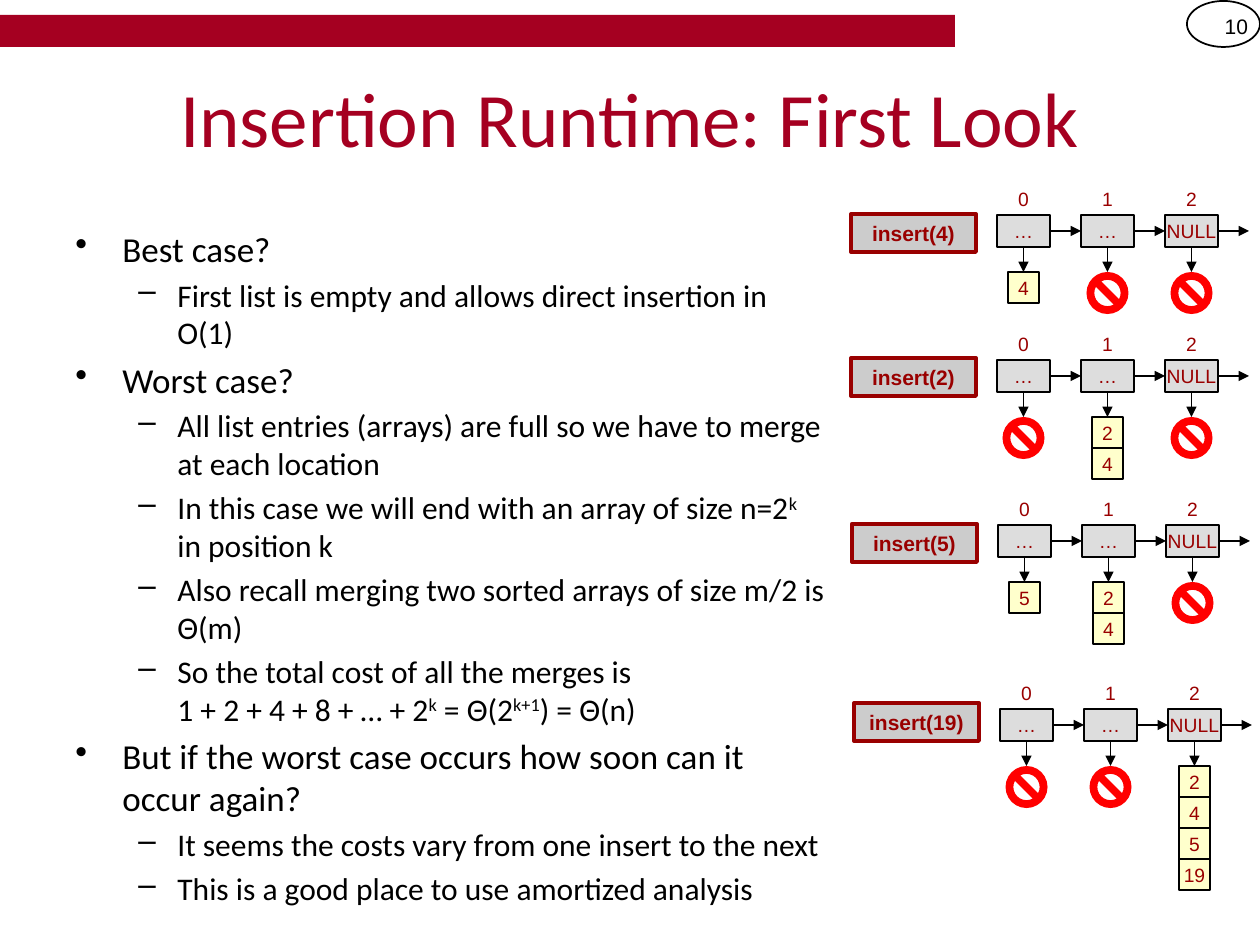
from dataclasses import dataclass

from lxml.etree import SubElement
from pptx import Presentation
from pptx.dml.color import RGBColor
from pptx.enum.shapes import MSO_CONNECTOR, MSO_SHAPE
from pptx.enum.text import MSO_ANCHOR as ANCHOR, PP_ALIGN as ALIGN
from pptx.oxml.ns import qn
from pptx.util import Pt

PX = 914400 / 126


@dataclass(frozen=True)
class Theme:
    crimson: str = "A50021"
    dark_red: str = "990000"
    black: str = "000000"
    cell: str = "DDDDDD"
    item: str = "FFFFCC"
    label: str = "CCCCCC"
    empty: str = "FF0000"
    title_size: int = 44
    body_sizes: tuple = (20, 18)
    label_size: int = 12
    cell_size: int = 11
    heading_font: str = "Calibri"
    diagram_font: str = "Arial"


theme = Theme()
presentation = Presentation()
presentation.slide_width = round(1260 * PX)
presentation.slide_height = round(945 * PX)
slide = presentation.slides.add_slide(presentation.slide_layouts[6])
shapes = slide.shapes


def draw(kind, box, fill=None, line=None, width=0.75):
    box = [round(length * PX) for length in box]
    if kind is None:
        return shapes.add_textbox(*box)
    shape = shapes.add_shape(kind, *box)
    shape.shadow.inherit = False
    if fill:
        shape.fill.solid()
        shape.fill.fore_color.rgb = RGBColor.from_string(fill)
    else:
        shape.fill.background()
    if line:
        shape.line.color.rgb = RGBColor.from_string(line)
        shape.line.width = Pt(width)
    else:
        shape.line.fill.background()
    return shape


def write(shape, text, size, color=theme.dark_red, font=theme.diagram_font,
          align=ALIGN.CENTER, anchor=ANCHOR.MIDDLE, side=0, bold=False):
    frame = shape.text_frame
    frame.word_wrap = True
    frame.vertical_anchor = anchor
    frame.margin_left = frame.margin_right = round(side * PX)
    paragraph = frame.paragraphs[0]
    paragraph.text = text
    paragraph.alignment = align
    paragraph.font.size = Pt(size)
    paragraph.font.name = font
    paragraph.font.bold = bold
    paragraph.font.color.rgb = RGBColor.from_string(color)


page_number = draw(None, (1187, 1, 73, 50))
write(page_number, "10", theme.label_size, theme.black, align=ALIGN.RIGHT, side=12)
draw(MSO_SHAPE.RECTANGLE, (0, 15, 955, 32), theme.crimson)
draw(MSO_SHAPE.OVAL, (1187, 1, 73, 46), line=theme.black, width=1)
title = draw(None, (63, 38, 1134, 157))
write(title, "Insertion Runtime: First Look", theme.title_size, theme.crimson,
      theme.heading_font, side=12)

outline = [
    (0, ["Best case?"]),
    (1, ["First list is empty and allows direct insertion in O(1)"]),
    (0, ["Worst case?"]),
    (1, ["All list entries (arrays) are full so we have to merge at each location"]),
    (1, ["In this case we will end with an array of size n=2", "^k", " in position k"]),
    (1, ["Also recall merging two sorted arrays of size m/2 is Θ(m)"]),
    (1, ["So the total cost of all the merges is", "\n", "1 + 2 + 4 + 8 + … + 2", "^k",
         " = Θ(2", "^k+1", ") = Θ(n)"]),
    (0, ["But if the worst case occurs how soon can it occur again?"]),
    (1, ["It seems the costs vary from one insert to the next"]),
    (1, ["This is a good place to use amortized analysis"]),
]
bullets = [("•", 47, 47), ("–", 102, 39)]
body = draw(None, (63, 221, 777, 624)).text_frame
body.word_wrap = True
for index, (level, pieces) in enumerate(outline):
    paragraph = body.add_paragraph() if index else body.paragraphs[0]
    bullet, margin, hanging = bullets[level]
    size = theme.body_sizes[level]
    paragraph.level = level
    paragraph.space_before = Pt(size * 0.2)
    paragraph.font.size = Pt(size)
    paragraph.font.name = theme.heading_font
    paragraph.font.color.rgb = RGBColor.from_string(theme.black)
    properties = paragraph._p.get_or_add_pPr()
    properties.set("marL", str(round(margin * PX)))
    properties.set("indent", str(round(-hanging * PX)))
    character = properties.makeelement(qn("a:buChar"), {"char": bullet})
    properties.insert_element_before(character, "a:tabLst", "a:defRPr", "a:extLst")
    for piece in pieces:
        if piece == "\n":
            paragraph.add_line_break()
            continue
        run = paragraph.add_run()
        run.text = piece.removeprefix("^")
        if piece.startswith("^"):
            run.font._element.set("baseline", "30000")

CELL_WIDTH, CELL_HEIGHT, PITCH = 53, 32, 84
ITEM, RING, DROP = 31, 42, 57
steps = [
    ("insert(4)", 997, 215, 214, [["4"], [], []]),
    ("insert(2)", 997, 360, 358, [[], ["2", "4"], []]),
    ("insert(5)", 998, 525, 524, [["5"], ["2", "4"], []]),
    ("insert(19)", 1000, 709, 703, [[], [], ["2", "4", "5", "19"]]),
]
for call, left, top, label_top, arrays in steps:
    label = draw(MSO_SHAPE.RECTANGLE, (left - 146, label_top, 125, 38),
                 theme.label, theme.dark_red, 2.25)
    write(label, call, theme.label_size, anchor=ANCHOR.TOP, side=12, bold=True)
    for column, (entry, items) in enumerate(zip(["…", "…", "NULL"], arrays)):
        x = left + column * PITCH
        center = x + CELL_WIDTH / 2
        middle = top + CELL_HEIGHT / 2
        cell = draw(MSO_SHAPE.RECTANGLE, (x, top, CELL_WIDTH, CELL_HEIGHT),
                    theme.cell, theme.black)
        write(cell, entry, theme.cell_size)
        heading = draw(None, (x, top - CELL_HEIGHT, CELL_WIDTH, CELL_HEIGHT))
        write(heading, str(column), theme.cell_size)
        for ends in [(x + CELL_WIDTH, middle, x + PITCH, middle),
                     (center, top + CELL_HEIGHT, center, top + DROP)]:
            arrow = shapes.add_connector(MSO_CONNECTOR.STRAIGHT,
                                         *[round(length * PX) for length in ends])
            arrow.line.color.rgb = RGBColor.from_string(theme.black)
            arrow.line.width = Pt(0.75)
            SubElement(arrow.line._get_or_add_ln(), qn("a:tailEnd"), type="triangle")
            SubElement(arrow._element.spPr, qn("a:effectLst"))
        for row, value in enumerate(items):
            item = draw(MSO_SHAPE.RECTANGLE,
                        (center - ITEM / 2, top + DROP + row * ITEM, ITEM, ITEM),
                        theme.item, theme.black)
            write(item, value, theme.cell_size)
        if not items:
            draw(MSO_SHAPE.NO_SYMBOL, (center - RING / 2, top + DROP, RING, RING),
                 theme.empty)

presentation.save("out.pptx")
